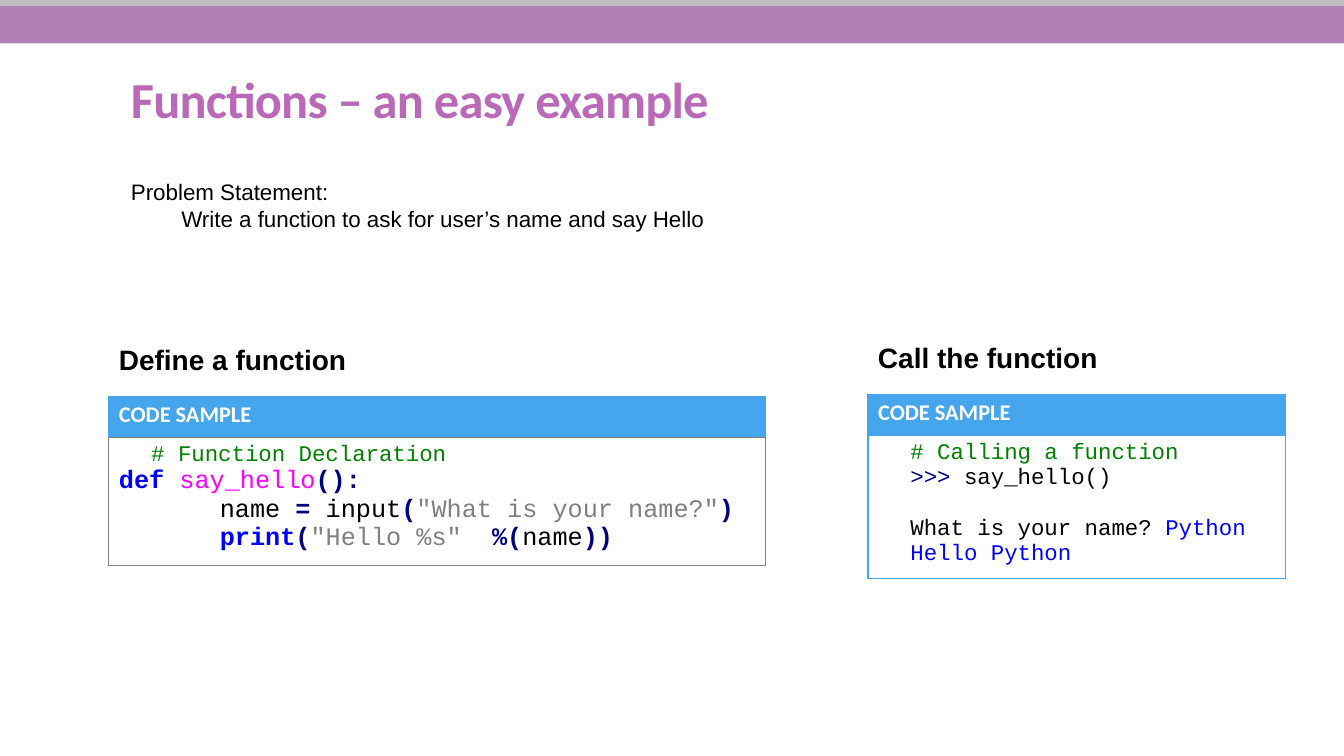
import pptx
import pptx.util
import pptx.dml.color
import pptx.enum.shapes
import pptx.enum.text
import pptx.oxml.ns
import lxml.etree

Inches = pptx.util.Inches
RGBColor = pptx.dml.color.RGBColor
qn = pptx.oxml.ns.qn

BAND = RGBColor(0xB2, 0x7E, 0xB5)
SILVER = RGBColor(0xC0, 0xC0, 0xC0)
TITLE = RGBColor(0xBA, 0x69, 0xB8)
SKY = RGBColor(0x45, 0xA5, 0xED)
WHITE = RGBColor(0xFF, 0xFF, 0xFF)
BLACK = RGBColor(0, 0, 0)
GREEN = RGBColor(0, 0x80, 0)
BLUE = RGBColor(0, 0, 0xFF)
NAVY = RGBColor(0, 0, 0x80)
MAGENTA = RGBColor(0xFF, 0, 0xFF)
GRAY = RGBColor(0x80, 0x80, 0x80)

DEFINE_CODE = [
    dict(runs=[("# Function Declaration", GREEN, False)], indent=0.32),
    dict(runs=[("def", BLUE, True), (" ", BLACK, False),
               ("say_hello", MAGENTA, False), ("():", NAVY, True)], size=18),
    dict(runs=[("name ", BLACK, False), ("=", NAVY, True), (" input", BLACK, False),
               ("(", NAVY, True), ('"What is your name?"', GRAY, False),
               (")", NAVY, True)], size=18, indent=1),
    dict(runs=[("print", BLUE, True), ("(", NAVY, True), ('"Hello %s"', GRAY, False),
               ("  ", BLACK, False), ("%(", NAVY, True), ("name", BLACK, False),
               ("))", NAVY, True)], size=18, indent=1),
]
CALL_CODE = [
    dict(runs=[("# Calling a function", GREEN, False)], indent=0.32),
    dict(runs=[(">>> ", NAVY, False), ("say_hello()", BLACK, False)], indent=0.32),
    dict(runs=[("What is your name? ", BLACK, False), ("Python", BLUE, False)],
         indent=0.32, before=18),
    dict(runs=[("Hello Python", BLUE, False)], indent=0.32),
]


def add_text(p, text, font="Arial", size=16, color=BLACK, bold=False, spacing=0):
    """Append a formatted run to a paragraph."""
    r = p.add_run()
    r.text = text
    r.font.name = font
    r.font.size = pptx.util.Pt(size)
    r.font.color.rgb = color
    r.font.bold = bold
    if spacing:
        r.font._element.set("spc", str(round(spacing * 100)))


def indent_paragraph(p, indent):
    """Set the left margin of a paragraph in inches."""
    pPr = p._p.get_or_add_pPr()
    pPr.set("marL", str(Inches(indent)))
    pPr.set("indent", "0")


def add_box(s, x, y, w, h, wrap=True):
    """Add an empty text box and return its text frame."""
    tf = s.shapes.add_textbox(Inches(x), Inches(y), Inches(w), Inches(h)).text_frame
    tf.word_wrap = wrap
    return tf


def add_band(s, y, h, color):
    """Add a full-width band at the top of the slide."""
    sp = s.shapes.add_shape(pptx.enum.shapes.MSO_SHAPE.RECTANGLE,
                            0, Inches(y), Inches(13.33), Inches(h))
    sp.shadow.inherit = False
    sp.fill.solid()
    sp.fill.fore_color.rgb = color
    sp.line.fill.background()


def style_cell(cell, fill, border):
    """Fill a cell and draw its four borders."""
    tcPr = cell._tc.get_or_add_tcPr()
    for tag in ("a:lnL", "a:lnR", "a:lnT", "a:lnB"):
        ln = lxml.etree.SubElement(tcPr, qn(tag), w=str(pptx.util.Pt(1)))
        solid = lxml.etree.SubElement(ln, qn("a:solidFill"))
        lxml.etree.SubElement(solid, qn("a:srgbClr"), val=str(border))
    cell.fill.solid()
    cell.fill.fore_color.rgb = fill


def add_code_table(s, x, y, w, body_h, code, border):
    """Add a code sample table with a header and one code cell."""
    header_h = 0.41
    table = s.shapes.add_table(2, 1, Inches(x), Inches(y), Inches(w),
                               Inches(header_h + body_h)).table
    table.first_row = table.horz_banding = False
    table.rows[0].height = Inches(header_h)
    table.rows[1].height = Inches(body_h)
    header, body = table.cell(0, 0), table.cell(1, 0)
    style_cell(header, SKY, SKY)
    style_cell(body, WHITE, border)
    add_text(header.text_frame.paragraphs[0], "CODE SAMPLE",
             font="Calibri", color=WHITE, bold=True)
    tf = body.text_frame
    for i, line in enumerate(code):
        p = tf.add_paragraph() if i else tf.paragraphs[0]
        indent_paragraph(p, line.get("indent", 0))
        p.space_before = pptx.util.Pt(line.get("before", 0))
        for text, color, bold in line["runs"]:
            add_text(p, text, font="Courier New", size=line.get("size", 16),
                     color=color, bold=bold)


def add_heading(s, x, y, w, text):
    """Add the bold heading above a code table."""
    add_text(add_box(s, x, y, w, 0.44, wrap=False).paragraphs[0],
             text, size=20, bold=True)


def main():
    """Build the slide and save it."""
    prs = pptx.Presentation()
    prs.slide_width, prs.slide_height = Inches(13.33), Inches(7.5)
    s = prs.slides.add_slide(prs.slide_layouts[6])

    add_band(s, 0.06, 0.37, BAND)
    add_band(s, 0, 0.06, SILVER)

    tf = add_box(s, 1.2, 0.45, 11, 0.88)
    tf.vertical_anchor = pptx.enum.text.MSO_ANCHOR.BOTTOM
    tf.paragraphs[0].line_spacing = 0.85
    add_text(tf.paragraphs[0], "Functions – an easy example", font="Calibri",
             size=36, color=TITLE, bold=True, spacing=-0.5)

    add_code_table(s, 1.08, 3.93, 6.51, 1.2, DEFINE_CODE, GRAY)
    add_code_table(s, 8.61, 3.91, 4.14, 1.36, CALL_CODE, SKY)
    add_heading(s, 1.08, 3.35, 2.48, "Define a function")
    add_heading(s, 8.61, 3.33, 2.4, "Call the function")

    tf = add_box(s, 1.2, 1.72, 6.98, 0.64)
    add_text(tf.paragraphs[0], "Problem Statement:")
    p = tf.add_paragraph()
    indent_paragraph(p, 0.5)
    add_text(p, "Write a function to ask for user’s name and say Hello")

    prs.save("out.pptx")


if __name__ == "__main__":
    main()
